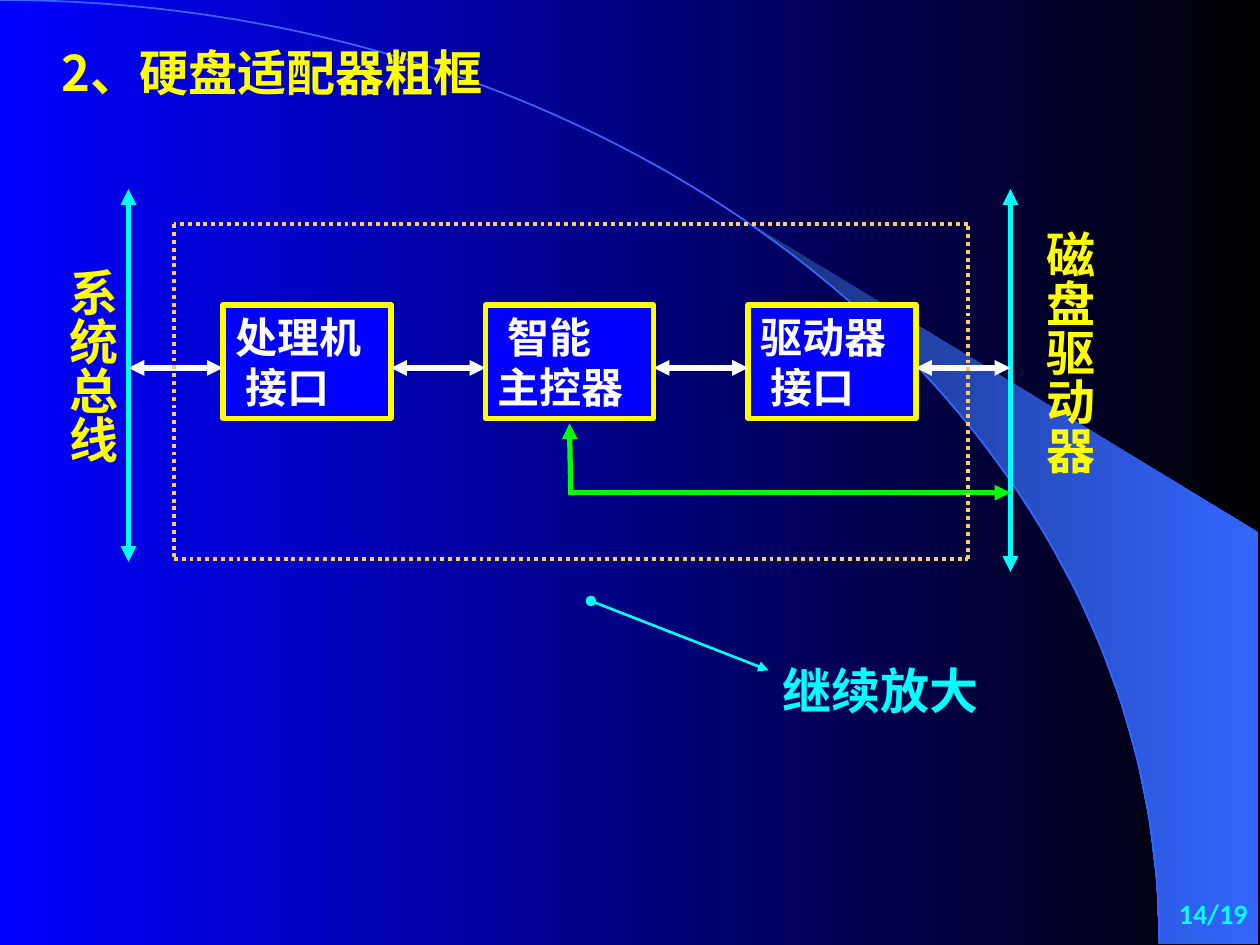
from lxml.etree import SubElement
from pptx import Presentation
from pptx.dml.color import RGBColor
from pptx.enum.dml import MSO_LINE_DASH_STYLE as Dash
from pptx.enum.shapes import MSO_CONNECTOR, MSO_SHAPE
from pptx.enum.text import MSO_ANCHOR as Anchor, MSO_AUTO_SIZE as AutoSize, PP_ALIGN as Align
from pptx.oxml.ns import qn
from pptx.util import Inches, Pt

COLORS = {
    "blue": "0000FF", "black": "000000", "navy": "182F76", "sky": "3366FF",
    "yellow": "FFFF00", "cyan": "00FFFF", "white": "FFFFFF",
    "green": "00FF00", "sand": "FFCC66",
}
CJK = "Noto Sans CJK SC"
TIMES = "Times New Roman"


def rgb(name):
    return RGBColor.from_string(COLORS[name])


def set_gradient(fill, start, end):
    fill.gradient()
    fill.gradient_angle = 0
    for stop, name, position in zip(fill.gradient_stops, (start, end), (0, 1)):
        stop.color.rgb = rgb(name)
        stop.position = position


def write_text(shape, *lines, size=28, font=TIMES, color="yellow", align=Align.LEFT,
               anchor=Anchor.TOP, wrap=True, grow=True, vertical=False, indents=None):
    """Write one paragraph per line; indents are left margins in inches."""
    tf = shape.text_frame
    tf.auto_size = AutoSize.SHAPE_TO_FIT_TEXT if grow else AutoSize.NONE
    tf.word_wrap = wrap
    tf.vertical_anchor = anchor
    side, end = (0.05, 0.1) if vertical else (0.1, 0.05)
    tf.margin_left = tf.margin_right = Inches(side)
    tf.margin_top = tf.margin_bottom = Inches(end)
    if vertical:
        tf._txBody.bodyPr.set("vert", "eaVert")
    for i, line in enumerate(lines):
        p = tf.paragraphs[0] if i == 0 else tf.add_paragraph()
        p.alignment = align
        if indents:
            p._p.get_or_add_pPr().set("marL", str(Inches(indents[i])))
        r = p.add_run()
        r.text = line
        r.font.size, r.font.bold, r.font.name = Pt(size), True, font
        r.font.color.rgb = rgb(color)
        SubElement(r._r.get_or_add_rPr(), qn("a:ea"), typeface=CJK)


def add_label(s, box, text, **text_format):
    write_text(s.shapes.add_textbox(*map(Inches, box)), text, **text_format)


def add_line(s, x1, y1, x2, y2, color, width=3, head=None, tail=None, dash=None):
    line = s.shapes.add_connector(MSO_CONNECTOR.STRAIGHT, *map(Inches, (x1, y1, x2, y2)))
    line.line.color.rgb = rgb(color)
    line.line.width = Pt(width)
    if dash:
        line.line.dash_style = dash
    ln = line.line._get_or_add_ln()
    for tag, kind in (("a:headEnd", head), ("a:tailEnd", tail)):
        if kind:
            SubElement(ln, qn(tag), type=kind)
    SubElement(line._element.spPr, qn("a:effectLst"))


def add_outline(s, points, close):
    emu = [(Inches(x), Inches(y)) for x, y in points]
    builder = s.shapes.build_freeform(*emu[0])
    builder.add_line_segments(emu[1:], close=close)
    sp = builder.convert_to_shape()
    sp.shadow.inherit = False
    return sp


def add_backdrop(s, width, height):
    """Gradient background, one large arc and the bright wedge outside it."""
    set_gradient(s.background.fill, "blue", "black")
    controls = [(0, 0), (5.08, 0), (9.2, 3.35), (9.2, height)]

    def arc_point(t):
        u = 1 - t
        weights = (u ** 3, 3 * u * u * t, 3 * u * t * t, t ** 3)
        return tuple(sum(w * c[axis] for w, c in zip(weights, controls)) for axis in (0, 1))

    edge = [arc_point(0.44 + 0.04 * i) for i in range(15)]
    wedge = add_outline(s, edge + [(width, height), (width, 4.23)], True)
    set_gradient(wedge.fill, "navy", "sky")
    wedge.line.fill.background()

    # The arc: turn the straight segments into one Bézier curve
    arc = add_outline(s, controls, False)
    outline = arc.element.find(".//" + qn("a:path"))
    segments = outline.findall(qn("a:lnTo"))
    curve = SubElement(outline, qn("a:cubicBezTo"))
    for segment in segments:
        curve.append(segment[0])
        outline.remove(segment)
    arc.fill.background()
    arc.line.color.rgb = rgb("sky")
    arc.line.width = Pt(1)


def add_title(s, box):
    title = s.shapes.title
    title.left, title.top, title.width, title.height = map(Inches, box)
    write_text(title, "2、硬盘适配器粗框", font=CJK)
    # Bring the title in front of the backdrop
    title.element.getparent().append(title.element)


def add_bus(s, x, top, bottom, label_box, text):
    add_label(s, label_box, text, align=Align.CENTER, vertical=True)
    add_line(s, x, top, x, bottom, "cyan", head="triangle", tail="triangle")


def add_adapter(s, left, top, width, height, bus_left, bus_right):
    """Three modules in a dotted frame, linked to the buses on both sides."""
    modules = [
        (("处理机", "接口"), (0, 0.08)),
        (("智能", "主控器"), (0.08, 0)),
        (("驱动器", "接口"), (0, 0.08)),
    ]
    gap, box_h = 0.75, 0.9
    pitch = (bus_right - bus_left - gap) / len(modules)
    box_top, link_y = top + 0.64, top + 1.14
    for i, (lines, indents) in enumerate(modules):
        x = bus_left + gap + i * pitch
        module = s.shapes.add_shape(MSO_SHAPE.RECTANGLE,
                                    *map(Inches, (x, box_top, pitch - gap, box_h)))
        module.shadow.inherit = False
        module.fill.solid()
        module.fill.fore_color.rgb = rgb("blue")
        module.line.color.rgb = rgb("yellow")
        module.line.width = Pt(3)
        write_text(module, *lines, size=24, font=CJK, color="white", indents=indents)

    # Two-way links between the buses and the modules
    for i in range(len(modules) + 1):
        x = bus_left + i * pitch
        add_line(s, x, link_y, x + gap, link_y, "white", head="triangle", tail="triangle")

    # Control path from the main controller to the drive
    middle, control_y = (bus_left + bus_right) / 2, top + 2.13
    add_line(s, middle, box_top + box_h + 0.04, middle + 0.01, control_y + 0.02,
             "green", head="triangle")
    add_line(s, middle, control_y, bus_right, control_y, "green", tail="triangle")

    # Dotted frame
    right, bottom = left + width, top + height
    corners = [(left, top), (left, bottom), (right, bottom), (right, top)]
    for start, end in zip(corners, corners[1:] + corners[:1]):
        add_line(s, *start, *end, "sand", width=2.25, dash=Dash.ROUND_DOT)


def add_zoom_note(s, left, top):
    add_line(s, left, top, left + 1.41, top + 0.55, "cyan", width=1.5,
             head="oval", tail="triangle")
    add_label(s, (left + 1.42, top + 0.42, 1.75, 0.57), "继续放大", color="cyan",
              align=Align.CENTER, wrap=False)


def main():
    prs = Presentation()
    prs.slide_width, prs.slide_height = Inches(10), Inches(7.5)
    s = prs.slides.add_slide(prs.slide_layouts[5])
    bus_left, bus_right = 1.02, 8.02

    add_backdrop(s, 9.99, 7.49)
    add_title(s, (0.39, 0.29, 5, 0.57))
    add_bus(s, bus_left, 1.5, 4.46, (0.36, 2.03, 0.66, 1.76), "系统总线")
    add_bus(s, bus_right, 1.5, 4.54, (8.11, 1.73, 0.66, 2.33), "磁盘驱动器")
    add_adapter(s, 1.38, 1.78, 6.3, 2.66, bus_left, bus_right)
    add_zoom_note(s, 4.69, 4.77)
    # Page number
    add_label(s, (7.92, 7, 2.08, 0.5), "14/19", size=16, font="Calibri", color="cyan",
              align=Align.RIGHT, anchor=Anchor.MIDDLE, grow=False)
    prs.save("out.pptx")


if __name__ == "__main__":
    main()
